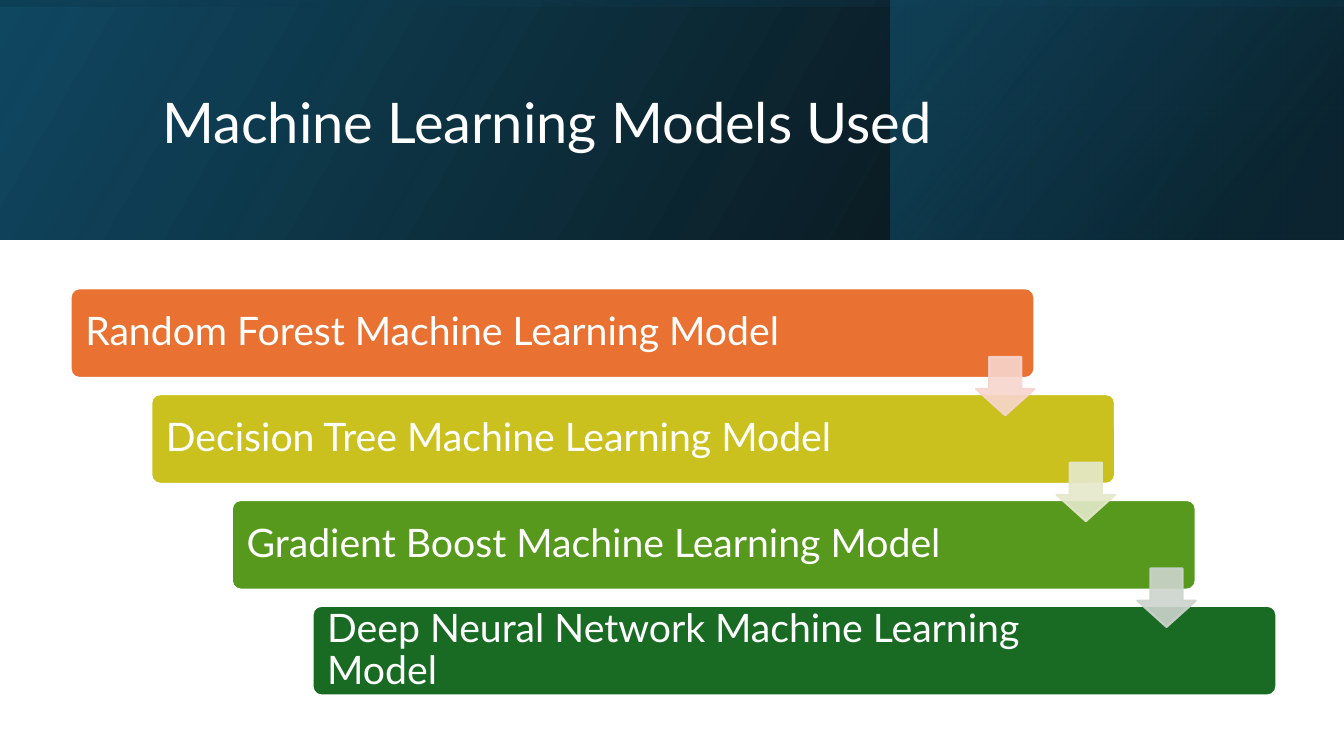
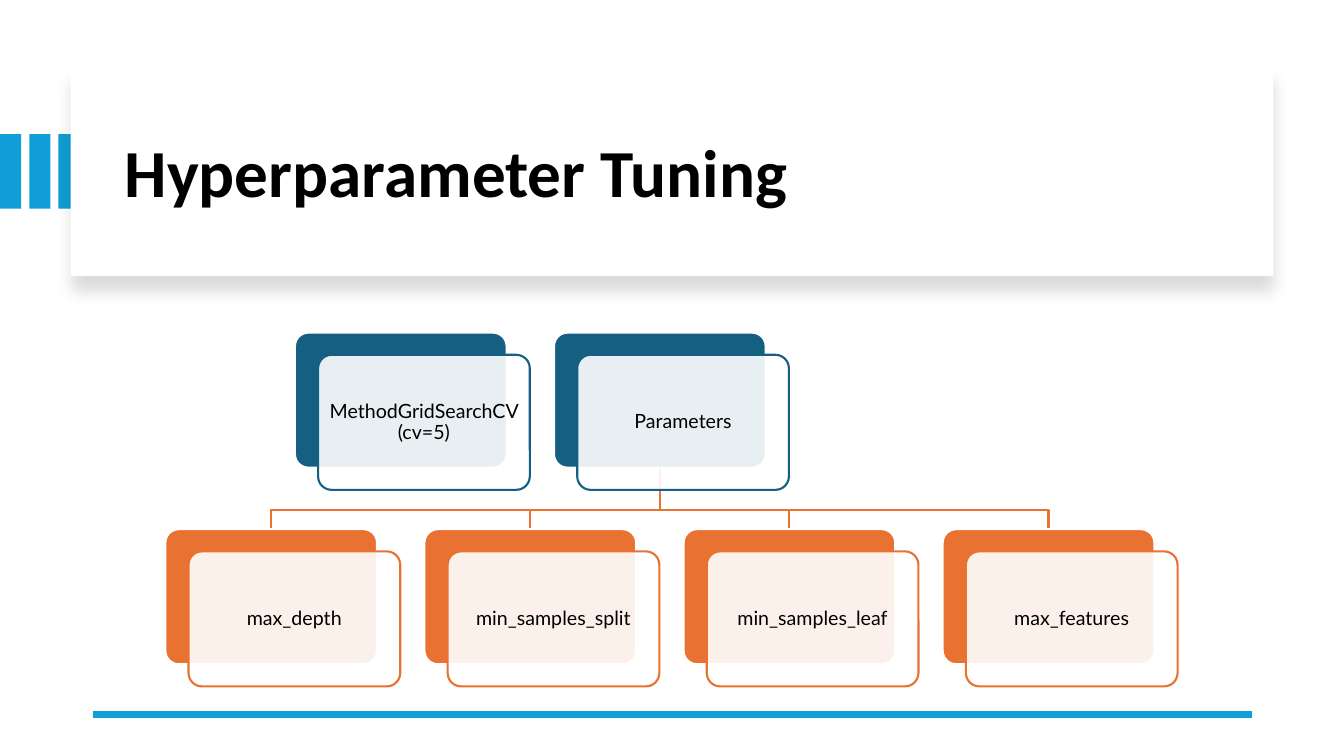
from dataclasses import dataclass

from lxml import etree
from pptx import Presentation, util as u
from pptx.dml.color import RGBColor
from pptx.enum import shapes as s, text as t
from pptx.oxml.ns import qn

WIDE, HIGH = 13.33, 7.5
WHITE, BLACK, SKY = "FFFFFF", "000000", "0F9ED5"
NAVY, TEAL, RUST = "104862", "156082", "E97132"
FACE = "Lato"
RECT, ROUND = s.MSO_SHAPE.RECTANGLE, s.MSO_SHAPE.ROUNDED_RECTANGLE


@dataclass(frozen=True)
class Box:
    left: float
    top: float
    width: float
    height: float

    def move(self, right: float, down: float) -> "Box":
        return Box(self.left + right, self.top + down, self.width, self.height)

    def emu(self) -> list:
        return [u.Inches(n) for n in (self.left, self.top, self.width, self.height)]


@dataclass(frozen=True)
class Stop:
    place: int
    tint: str
    alpha: int = 100


@dataclass(frozen=True)
class Band:
    box: Box
    stops: tuple
    angle: int
    turn: int = 0


@dataclass(frozen=True)
class Step:
    words: str
    fill: str
    arrow: str = ""


@dataclass(frozen=True)
class Card:
    words: str
    col: float
    row: int
    tint: str


HEAD = 2.38
BANDS = (
    Band(Box(0, 0, WIDE, HEAD), (Stop(0, BLACK, 96), Stop(100, NAVY)), 330),
    Band(Box(8.83, 0, 4.5, HEAD), (Stop(19, "0B3041", 68), Stop(100, TEAL, 48)), 320),
    Band(Box((WIDE - HEAD) / 2, (HEAD - WIDE) / 2, HEAD, WIDE),
         (Stop(23, NAVY, 16), Stop(99, BLACK, 45)), 350, 270),
)
STEPS = (
    Step("Random Forest Machine Learning Model", RUST, "F7D5CE"),
    Step("Decision Tree Machine Learning Model", "CBC11E", "E5E8CA"),
    Step("Gradient Boost Machine Learning Model", "56991D", "CCD4CD"),
    Step("Deep Neural Network Machine Learning Model", "196B24"),
)
FIRST = Box(0.7, 2.86, 9.56, 0.89)
CARDS = (
    Card("MethodGridSearchCV (cv=5)", 0.5, 0, TEAL),
    Card("Parameters", 1.5, 0, TEAL),
    Card("max_depth", 0, 1, RUST),
    Card("min_samples_split", 1, 1, RUST),
    Card("min_samples_leaf", 2, 1, RUST),
    Card("max_features", 3, 1, RUST),
)
CELL = Box(1.64, 3.3, 2.1, 1.34)
PITCH, DROP = 2.57, 1.95


def hue(code: str) -> RGBColor:
    return RGBColor.from_string(code)


def sub(node, tag: str, **attrs):
    return etree.SubElement(node, qn(tag), {k: str(v) for k, v in attrs.items()})


def fade(fill, alpha: int) -> None:
    node = fill._xPr.find(qn("a:solidFill"))[0]
    sub(node, "a:alpha", val=alpha * 1000)


def plot(page, kind, box: Box, fill: str, edge: str = "", alpha: int = 100,
         adj: tuple = ()):
    shape = page.shapes.add_shape(kind, *box.emu())
    shape.shadow.inherit = False
    for i, share in enumerate(adj):
        shape.adjustments[i] = share
    shape.fill.solid()
    shape.fill.fore_color.rgb = hue(fill)
    if alpha < 100:
        fade(shape.fill, alpha)
    if edge:
        shape.line.color.rgb = hue(edge)
        shape.line.width = u.Pt(1.5)
    else:
        shape.line.fill.background()
    return shape


def write(shape, words: str, size: int, tint: str, face: str = FACE,
          align=t.PP_ALIGN.LEFT, bold: bool = False, pad: tuple = (0.1, 0.05, 0.1, 0.05)) -> None:
    frame = shape.text_frame
    frame.word_wrap = True
    frame.vertical_anchor = t.MSO_ANCHOR.MIDDLE
    (frame.margin_left, frame.margin_top,
     frame.margin_right, frame.margin_bottom) = map(u.Inches, pad)
    para = frame.paragraphs[0]
    para.text = words
    para.alignment = align
    para.line_spacing = 0.9
    font = para.font
    font.name, font.size, font.bold = face, u.Pt(size), bold
    font.color.rgb = hue(tint)


def title(page, box: Box, words: str, size: int, tint: str, face: str = FACE,
          bold: bool = False) -> None:
    write(page.shapes.add_textbox(*box.emu()), words, size, tint, face, bold=bold)


def blend(page, band: Band) -> None:
    shape = plot(page, RECT, band.box, BLACK)
    shape.rotation = band.turn
    props = shape._element.spPr
    props.find(qn("a:xfrm")).set("flipH", "1")
    solid = props.find(qn("a:solidFill"))
    grad = etree.Element(qn("a:gradFill"), {"rotWithShape": "1"})
    stops = sub(grad, "a:gsLst")
    for stop in band.stops:
        mark = sub(stops, "a:gs", pos=stop.place * 1000)
        tint = sub(mark, "a:srgbClr", val=stop.tint)
        if stop.alpha < 100:
            sub(tint, "a:alpha", val=stop.alpha * 1000)
    sub(grad, "a:lin", ang=band.angle * 60000, scaled=0)
    props.replace(solid, grad)


def shade(shape) -> None:
    glow = sub(shape._element.spPr.find(qn("a:effectLst")), "a:outerShdw",
               blurRad=u.Pt(11), dist=u.Pt(10), dir=90 * 60000, algn="t", rotWithShape=0)
    sub(sub(glow, "a:srgbClr", val=BLACK), "a:alpha", val=15000)


def rule(page, start: float, end: float, top: float) -> None:
    line = page.shapes.add_connector(
        s.MSO_CONNECTOR.STRAIGHT, *map(u.Inches, (start, top, end, top)))
    line.line.color.rgb = hue(SKY)
    line.line.width = u.Pt(4.5)
    sub(line._element.spPr, "a:effectLst")


def place(card: Card) -> Box:
    return CELL.move(card.col * PITCH, card.row * DROP)


def link(page, top: Card, low: Card) -> None:
    a, b = place(top), place(low)
    x, y, end, bend, stop = map(u.Inches, (
        a.left + a.width / 2, a.top + a.height,
        b.left + b.width / 2, b.top - 0.19, b.top))
    pen = page.shapes.build_freeform(x, y)
    pen.add_line_segments([(x, bend), (end, bend), (end, stop)], close=False)
    shape = pen.convert_to_shape()
    shape.shadow.inherit = False
    shape.fill.background()
    shape.line.color.rgb = hue(RUST)
    shape.line.width = u.Pt(1.5)


def draw(page, card: Card) -> None:
    box = place(card)
    plot(page, ROUND, box, card.tint, WHITE, adj=(0.1,))
    front = plot(page, ROUND, box.move(0.23, 0.22), WHITE, card.tint, 90, (0.1,))
    write(front, card.words, 14, BLACK, align=t.PP_ALIGN.CENTER, pad=(0.05,) * 4)


def models(page) -> None:
    for band in BANDS:
        blend(page, band)
    title(page, Box(1.51, 0.38, 10.63, 1.72), "Machine Learning Models Used", 40, WHITE)
    boxes = [FIRST.move(0.8 * i, 1.05 * i) for i in range(len(STEPS))]
    for step, box in zip(STEPS, boxes):
        bar = plot(page, ROUND, box, step.fill, WHITE, adj=(0.1,))
        write(bar, step.words, 28, WHITE, pad=(0.12, 0.12, 1.5, 0.12))
    for step, box in zip(STEPS, boxes):
        if step.arrow:
            spot = Box(box.left + 8.98, box.top + 0.68, 0.58, 0.58)
            arrow = plot(page, s.MSO_SHAPE.DOWN_ARROW, spot, step.arrow, step.arrow,
                         90, (0.55, 0.45))
            fade(arrow.line.fill, 90)


def tuning(page) -> None:
    for i in range(3):
        plot(page, RECT, Box(0.29 * i, 1.33, 0.21, 0.74), SKY)
    shade(plot(page, RECT, Box(0.7, 0.67, 11.93, 2.07), WHITE))
    title(page, Box(1.14, 0.89, 11.13, 1.7), "Hyperparameter Tuning", 48, BLACK,
          "Calibri", True)
    rule(page, 12.42, 0.92, 7.09)
    for card in CARDS[:1:-1]:
        link(page, CARDS[1], card)
    for card in CARDS:
        draw(page, card)


def main() -> None:
    deck = Presentation()
    deck.slide_width, deck.slide_height = u.Inches(WIDE), u.Inches(HIGH)
    for build in (models, tuning):
        build(deck.slides.add_slide(deck.slide_layouts[6]))
    deck.save("out.pptx")


if __name__ == "__main__":
    main()
